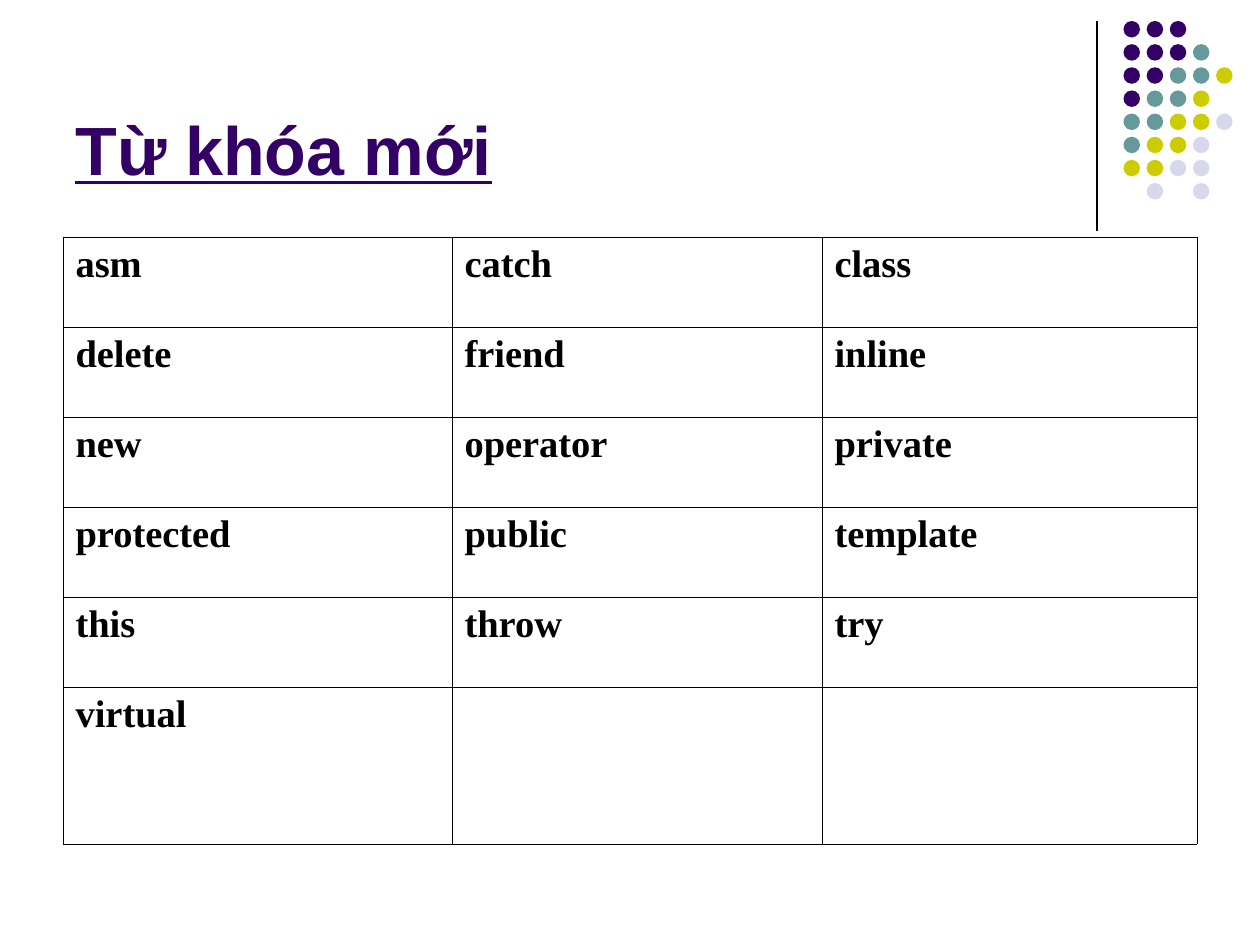
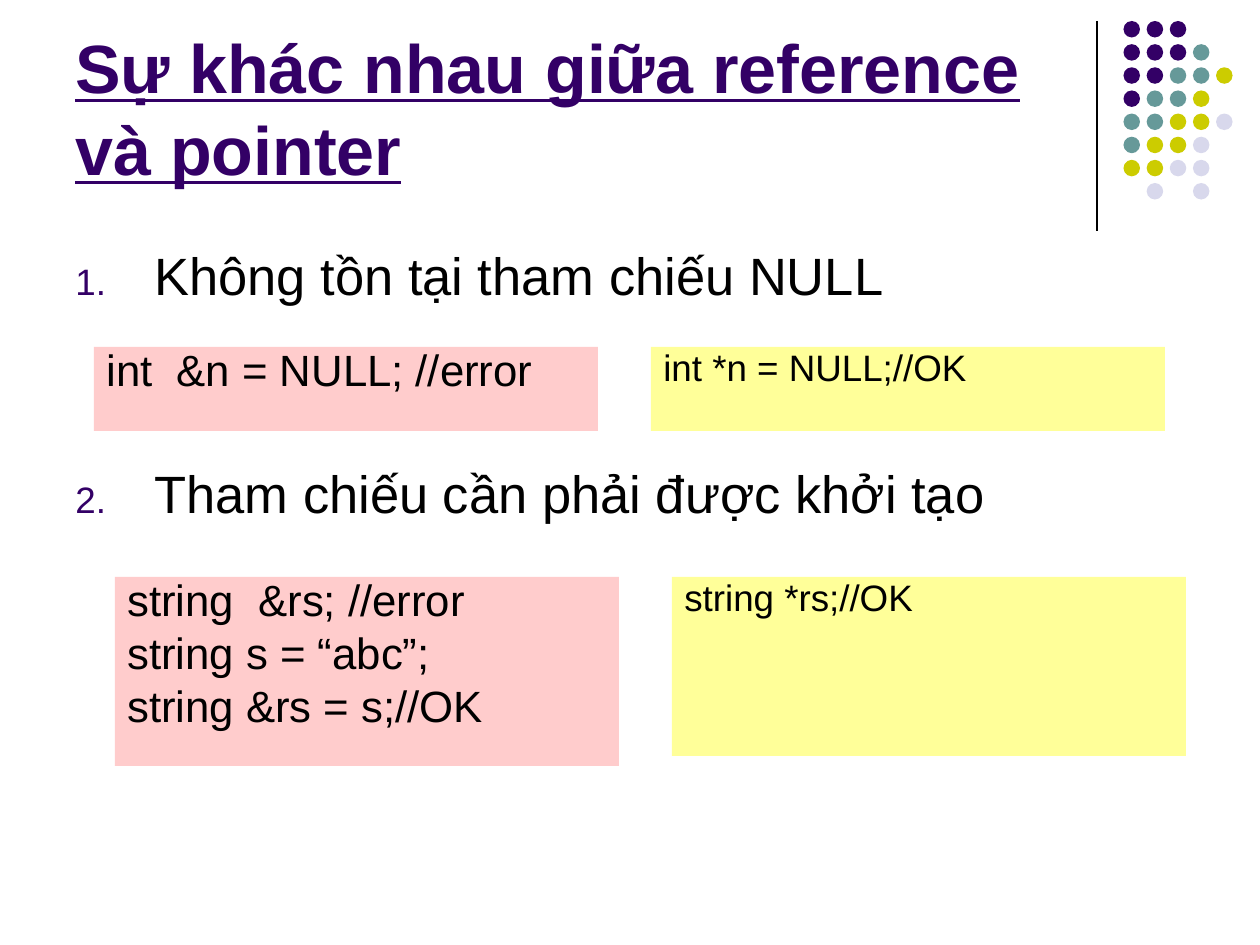
from lxml import etree
from pptx import Presentation, util as u
from pptx.dml.color import RGBColor
from pptx.enum import shapes, text
from pptx.oxml.ns import qn

PLUM = RGBColor(0x33, 0x00, 0x66)
TEAL = RGBColor(0x66, 0x99, 0x99)
LIME = RGBColor(0xCC, 0xCC, 0x00)
MIST = RGBColor(0xD8, 0xD8, 0xEC)
PINK = RGBColor(0xFF, 0xCC, 0xCC)
CREAM = RGBColor(0xFF, 0xFF, 0x99)
BLACK = RGBColor(0, 0, 0)

WORDS = [
    ("asm", "catch", "class"),
    ("delete", "friend", "inline"),
    ("new", "operator", "private"),
    ("protected", "public", "template"),
    ("this", "throw", "try"),
    ("virtual", "", ""),
]
COLS = [389, 370, 375]
ROWS = [90] * 5 + [157]

POINTS = ["Không tồn tại tham chiếu NULL", "Tham chiếu cần phải được khởi tạo"]
BAD = dict(fill=PINK, size=25, gap=6.2)
GOOD = dict(fill=CREAM, size=21, gap=5.2)
CODE = [
    ((94, 347, 504, 84), BAD, ["int  &n = NULL; //error"]),
    ((651, 347, 514, 84), GOOD, ["int *n = NULL;//OK"]),
    ((115, 577, 504, 189), BAD,
     ["string  &rs; //error", "string s = “abc”;", "string &rs = s;//OK"]),
    ((672, 577, 514, 179), GOOD, ["string *rs;//OK"]),
]

DOTS = ["PPP", "PPPT", "PPTTL", "PTTL", "TTLLM", "TLLM", "LLMM", " M M"]
HUES = dict(P=PLUM, T=TEAL, L=LIME, M=MIST)
BODY = (63, 237, 1134, 607)
TITLE = dict(name="Arial", size=u.Pt(39), bold=True, underline=True)
WORD = dict(name="Times New Roman", size=u.Pt(22), bold=True)
ITEM = dict(name="Arial", size=u.Pt(30))
FRAME = dict(word_wrap=True, auto_size=text.MSO_AUTO_SIZE.NONE)


def px(n):
    return round(n * 914400 / 126)


def place(box):
    return [px(n) for n in box]


def style(item, form):
    for key, val in form.items():
        setattr(item, key, val)


def write(para, line, form, ink=BLACK):
    para.text = line
    style(para.font, form)
    para.font.color.rgb = ink


def paint(part, hue):
    part.shadow.inherit = False
    part.fill.solid()
    part.fill.fore_color.rgb = hue
    part.line.fill.background()


def base(deck, head):
    page = deck.slides.add_slide(deck.slide_layouts[6])
    rule = page.shapes.add_connector(
        shapes.MSO_CONNECTOR.STRAIGHT, *place((1097, 21, 1097, 231)))
    rule.line.color.rgb = BLACK
    rule.line.width = u.Pt(0.75)
    etree.SubElement(rule._element.spPr, qn("a:effectLst"))
    for row, marks in enumerate(DOTS):
        for col, mark in enumerate(marks):
            if mark in HUES:
                spot = (1123.5 + col * 23.14, 21 + row * 23.14, 16.5, 16.5)
                dot = page.shapes.add_shape(shapes.MSO_SHAPE.OVAL, *place(spot))
                paint(dot, HUES[mark])
    frame = page.shapes.add_textbox(*place((63, 16, 1040, 179))).text_frame
    style(frame, dict(FRAME, vertical_anchor=text.MSO_ANCHOR.BOTTOM))
    write(frame.paragraphs[0], head, TITLE, PLUM)
    return page


def edge(cell):
    props = cell._tc.get_or_add_tcPr()
    for spot, side in enumerate("LRTB"):
        line = etree.Element(qn("a:ln" + side), w=str(u.Pt(0.45)))
        fill = etree.SubElement(line, qn("a:solidFill"))
        etree.SubElement(fill, qn("a:srgbClr"), val=str(BLACK))
        props.insert(spot, line)


def grid(page):
    table = page.shapes.add_table(len(ROWS), len(COLS), *place(BODY)).table
    style(table, dict(first_row=False, horz_banding=False))
    for col, wide in zip(table.columns, COLS):
        col.width = px(wide)
    for row, high, words in zip(table.rows, ROWS, WORDS):
        row.height = px(high)
        for cell, word in zip(row.cells, words):
            cell.fill.background()
            edge(cell)
            write(cell.text_frame.paragraphs[0], word, WORD)


def number(para):
    props = para._p.get_or_add_pPr()
    props.set("marL", str(px(79)))
    props.set("indent", str(px(-79)))
    hue = etree.SubElement(props, qn("a:buClr"))
    etree.SubElement(hue, qn("a:srgbClr"), val=str(PLUM))
    etree.SubElement(props, qn("a:buSzPct"), val="70000")
    etree.SubElement(props, qn("a:buFont"), typeface="Arial")
    etree.SubElement(props, qn("a:buAutoNum"), type="arabicPeriod")


def fill_list(page):
    frame = page.shapes.add_textbox(*place(BODY)).text_frame
    style(frame, FRAME)
    for i, line in enumerate(POINTS):
        para = frame.add_paragraph() if i else frame.paragraphs[0]
        number(para)
        write(para, line, ITEM)
        if i:
            para.space_before = u.Pt(88.7)


def add_code(page, box, kind, lines):
    part = page.shapes.add_shape(shapes.MSO_SHAPE.RECTANGLE, *place(box))
    paint(part, kind["fill"])
    frame = part.text_frame
    style(frame, dict(FRAME, vertical_anchor=text.MSO_ANCHOR.TOP))
    for i, line in enumerate(lines):
        para = frame.add_paragraph() if i else frame.paragraphs[0]
        write(para, line, dict(name="Arial", size=u.Pt(kind["size"])))
        style(para, dict(alignment=text.PP_ALIGN.LEFT, line_spacing=0.8))
        if i:
            para.space_before = u.Pt(kind["gap"])


def main():
    deck = Presentation()
    style(deck, dict(slide_width=px(1260), slide_height=px(945)))
    grid(base(deck, "Từ khóa mới"))
    page = base(deck, "Sự khác nhau giữa reference và pointer")
    fill_list(page)
    for block in CODE:
        add_code(page, *block)
    deck.save("out.pptx")


if __name__ == "__main__":
    main()
